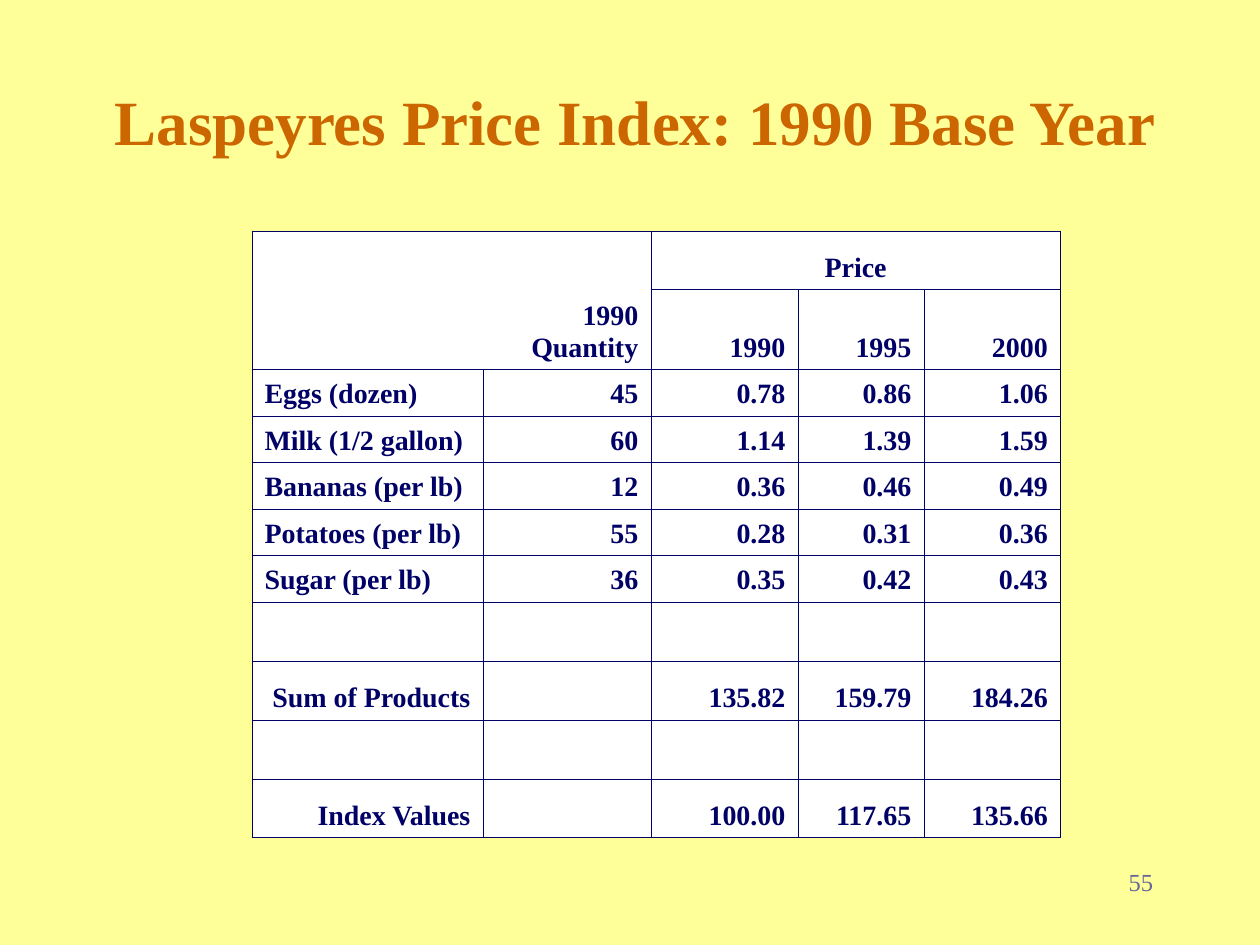
from lxml.etree import SubElement
from pptx import Presentation
from pptx.dml.color import RGBColor
from pptx.enum.text import MSO_ANCHOR, PP_ALIGN
from pptx.oxml.ns import qn
from pptx.util import Pt

LEFT, MID, RIGHT = PP_ALIGN.LEFT, PP_ALIGN.CENTER, PP_ALIGN.RIGHT
GOODS = [
    ("Eggs (dozen)", "45", "0.78", "0.86", "1.06"),
    ("Milk (1/2 gallon)", "60", "1.14", "1.39", "1.59"),
    ("Bananas (per lb)", "12", "0.36", "0.46", "0.49"),
    ("Potatoes (per lb)", "55", "0.28", "0.31", "0.36"),
    ("Sugar (per lb)", "36", "0.35", "0.42", "0.43"),
]
BLANK = ("",) * 5
ROWS = [
    ("1990\nQuantity", "", "Price", "", ""),
    ("", "", "1990", "1995", "2000"),
    *GOODS,
    BLANK,
    ("Sum of Products", "", "135.82", "159.79", "184.26"),
    BLANK,
    ("Index Values", "", "100.00", "117.65", "135.66"),
]
WIDTHS = [132, 96, 84, 72, 78]
HEIGHTS = [33.5, 45.6] + [26.6] * len(GOODS) + [33.7] * 4
MERGES = [(0, 0, 1, 1), (0, 2, 0, 4)]


def color(code):
    """Turn a hex string into a colour."""
    return RGBColor.from_string(code)


class Deck:
    """Hold the style and the current slide."""

    face = "Times New Roman"
    ink, paper, back = "000066", "FFFFFF", "FFFF99"

    def __init__(self):
        """Start a deck with one blank slide."""
        self.show = Presentation()
        self.show.slide_width, self.show.slide_height = Pt(720), Pt(540)
        self.slide = self.show.slides.add_slide(self.show.slide_layouts[6])
        fill = self.slide.background.fill
        fill.solid()
        fill.fore_color.rgb = color(self.back)

    def letter(self, frame, text, size, code, bold, align):
        """Put styled text in a frame."""
        frame.text = text
        for para in frame.paragraphs:
            para.alignment = align
            font = para.font
            font.name, font.size, font.bold = self.face, Pt(size), bold
            font.color.rgb = color(code)

    def label(self, box, text, size, code, bold, align, anchor=MSO_ANCHOR.TOP):
        """Add a text box and return its frame."""
        frame = self.slide.shapes.add_textbox(*map(Pt, box)).text_frame
        frame.word_wrap = True
        frame.vertical_anchor = anchor
        self.letter(frame, text, size, code, bold, align)
        return frame

    def border(self, cell):
        """Draw thin lines on all four sides of a cell."""
        props = cell._tc.get_or_add_tcPr()
        for spot, side in enumerate(("lnL", "lnR", "lnT", "lnB")):
            line = SubElement(props, qn("a:" + side), w=str(Pt(0.45)))
            props.insert(spot, line)
            fill = SubElement(line, qn("a:solidFill"))
            SubElement(fill, qn("a:srgbClr"), val=self.ink)

    def table(self, left, top, rows, widths, heights, merges, pick):
        """Add a table whose cell alignment comes from pick."""
        size = (Pt(sum(widths)), Pt(sum(heights)))
        grid = self.slide.shapes.add_table(
            len(rows), len(widths), Pt(left), Pt(top), *size).table
        for col, width in zip(grid.columns, widths):
            col.width = Pt(width)
        for row, height in zip(grid.rows, heights):
            row.height = Pt(height)
        for r, row in enumerate(rows):
            for c, text in enumerate(row):
                cell = grid.cell(r, c)
                cell.vertical_anchor = MSO_ANCHOR.BOTTOM
                cell.fill.solid()
                cell.fill.fore_color.rgb = color(self.paper)
                self.letter(cell.text_frame, text, 16, self.ink, True, pick(r, c))
                self.border(cell)
        for r, c, end, last in merges:
            grid.cell(r, c).merge(grid.cell(end, last))


def align(row, col):
    """Choose the alignment of a price table cell."""
    if (row, col) == (0, 2):
        return MID
    return LEFT if col == 0 and ROWS[row] in GOODS else RIGHT


def main():
    """Build the price index slide."""
    deck = Deck()
    deck.label((30, 24, 666, 90), "Laspeyres Price Index: 1990 Base Year",
               36, "CC6600", True, MID, MSO_ANCHOR.MIDDLE)
    deck.table(144, 132, ROWS, WIDTHS, HEIGHTS, MERGES, align)
    page = deck.label((606, 492, 60, 36), "55", 14, "666699", False, RIGHT)
    page.paragraphs[0].space_before = Pt(8.8)
    deck.show.save("out.pptx")


if __name__ == "__main__":
    main()
